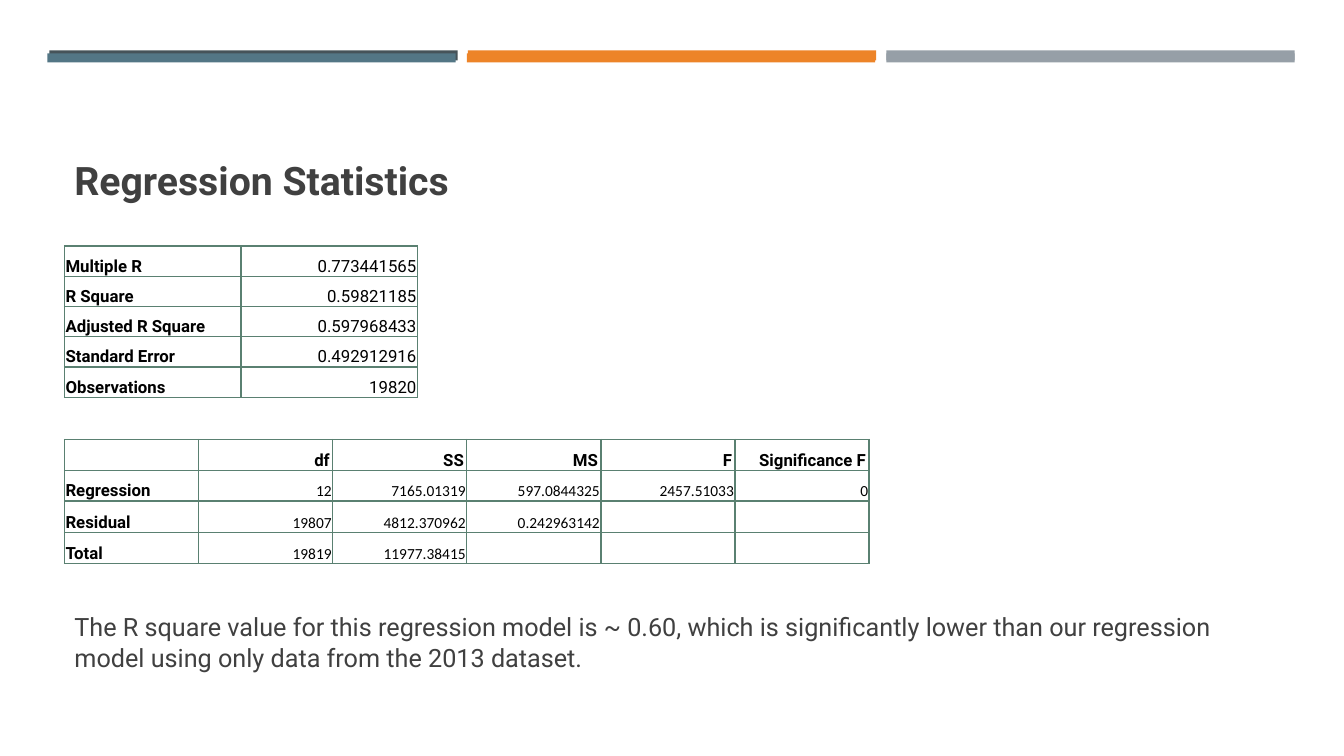
from lxml.etree import SubElement
from pptx import Presentation
from pptx.dml.color import RGBColor
from pptx.enum.shapes import MSO_SHAPE
from pptx.enum.text import MSO_ANCHOR, PP_ALIGN
from pptx.oxml.ns import qn
from pptx.util import Emu, Pt

SCALE = 9144  # EMU in one px, 100 px to the inch

SLATE = RGBColor(0x46, 0x53, 0x59)
TEAL = RGBColor(0x53, 0x76, 0x85)
ORANGE = RGBColor(0xED, 0x84, 0x28)
GREY = RGBColor(0x96, 0x9F, 0xA7)
GREEN = RGBColor(0x5A, 0x80, 0x71)
INK = RGBColor(0x40, 0x40, 0x40)
BLACK = RGBColor(0, 0, 0)

TITLE = {"name": "Roboto", "size": Pt(28), "bold": True}
BODY = {"name": "Roboto", "size": Pt(18), "bold": False}
LABEL = {"name": "Roboto", "size": Pt(12), "bold": True}
VALUE = {"name": "Roboto", "size": Pt(12), "bold": False}
SMALL = {"name": "Calibri", "size": Pt(11), "bold": False}

STATS = [
    ("Multiple R", "0.773441565"),
    ("R Square", "0.59821185"),
    ("Adjusted R Square", "0.597968433"),
    ("Standard Error", "0.492912916"),
    ("Observations", "19820"),
]
ANOVA = [
    ("", "df", "SS", "MS", "F", "Significance F"),
    ("Regression", "12", "7165.01319", "597.0844325", "2457.51033", "0"),
    ("Residual", "19807", "4812.370962", "0.242963142", "", ""),
    ("Total", "19819", "11977.38415", "", "", ""),
]


def px(*vals):
    return [Emu(v * SCALE) for v in vals]


class Page:
    def __init__(self, deck):
        self.slide = deck.slides.add_slide(deck.slide_layouts[6])
        self.shapes = self.slide.shapes

    def bar(self, x, y, w, h, color):
        bar = self.shapes.add_shape(MSO_SHAPE.RECTANGLE, *px(x, y, w, h))
        bar.shadow.inherit = False
        bar.fill.solid()
        bar.fill.fore_color.rgb = color
        bar.line.fill.background()

    def words(self, para, text, style, color):
        run = para.add_run()
        run.text = text
        for key, val in style.items():
            setattr(run.font, key, val)
        run.font.color.rgb = color

    def text(self, x, y, w, h, text, style, anchor=MSO_ANCHOR.TOP, **space):
        frame = self.shapes.add_textbox(*px(x, y, w, h)).text_frame
        frame.word_wrap = True
        frame.vertical_anchor = anchor
        para = frame.paragraphs[0]
        for key, val in space.items():
            setattr(para, key, val)
        self.words(para, text, style, INK)

    def edge(self, cell):
        """Draw a thin green line on all four sides of a cell."""
        props = cell._tc.get_or_add_tcPr()
        for side in ("a:lnL", "a:lnR", "a:lnT", "a:lnB"):
            line = SubElement(props, qn(side), w=str(Pt(1)))
            fill = SubElement(line, qn("a:solidFill"))
            SubElement(fill, qn("a:srgbClr"), val=str(GREEN))

    def cell(self, cell, text, style, align, right):
        self.edge(cell)
        cell.fill.background()
        cell.vertical_anchor = MSO_ANCHOR.BOTTOM
        sides = ("left", "top", "right", "bottom")
        for side, gap in zip(sides, px(1, 1, right, 0)):
            setattr(cell, "margin_" + side, gap)
        para = cell.text_frame.paragraphs[0]
        para.alignment = align
        self.words(para, text, style, BLACK)

    def table(self, x, y, wide, high, rows, style, head=False):
        """Labels go in the first column, and in the first row if head is set."""
        count, cols = len(rows), len(rows[0])
        box = px(x, y, wide * cols, high * count)
        grid = self.shapes.add_table(count, cols, *box).table
        grid.first_row = grid.horz_banding = False
        for r, row in enumerate(rows):
            for c, text in enumerate(row):
                top = head and r == 0
                look = LABEL if top or c == 0 else style
                align = PP_ALIGN.RIGHT if c else PP_ALIGN.LEFT
                self.cell(grid.cell(r, c), text, look, align, 3 if top else 1)


def main():
    deck = Presentation()
    deck.slide_width, deck.slide_height = px(1333, 750)
    page = Page(deck)
    for i, (back, front) in enumerate(
        [(SLATE, TEAL), (ORANGE, ORANGE), (GREY, GREY)]
    ):
        page.bar(49 + 415 * i, 50, 405, 10, back)
        page.bar(47 + 416 * i, 53, 405, 9, front)
    page.text(64, 77, 1206, 130, "Regression Statistics", TITLE,
              MSO_ANCHOR.BOTTOM)
    page.text(
        64, 602, 1206, 66,
        "The R square value for this regression model is ~ 0.60, which is "
        "significantly lower than our regression model using only data from "
        "the 2013 dataset.",
        BODY, space_before=Pt(3.6), space_after=Pt(6),
    )
    page.table(64, 244, 175, 30, STATS, VALUE)
    page.table(64, 436, 133, 30, ANOVA, SMALL, head=True)
    deck.save("out.pptx")


if __name__ == "__main__":
    main()
